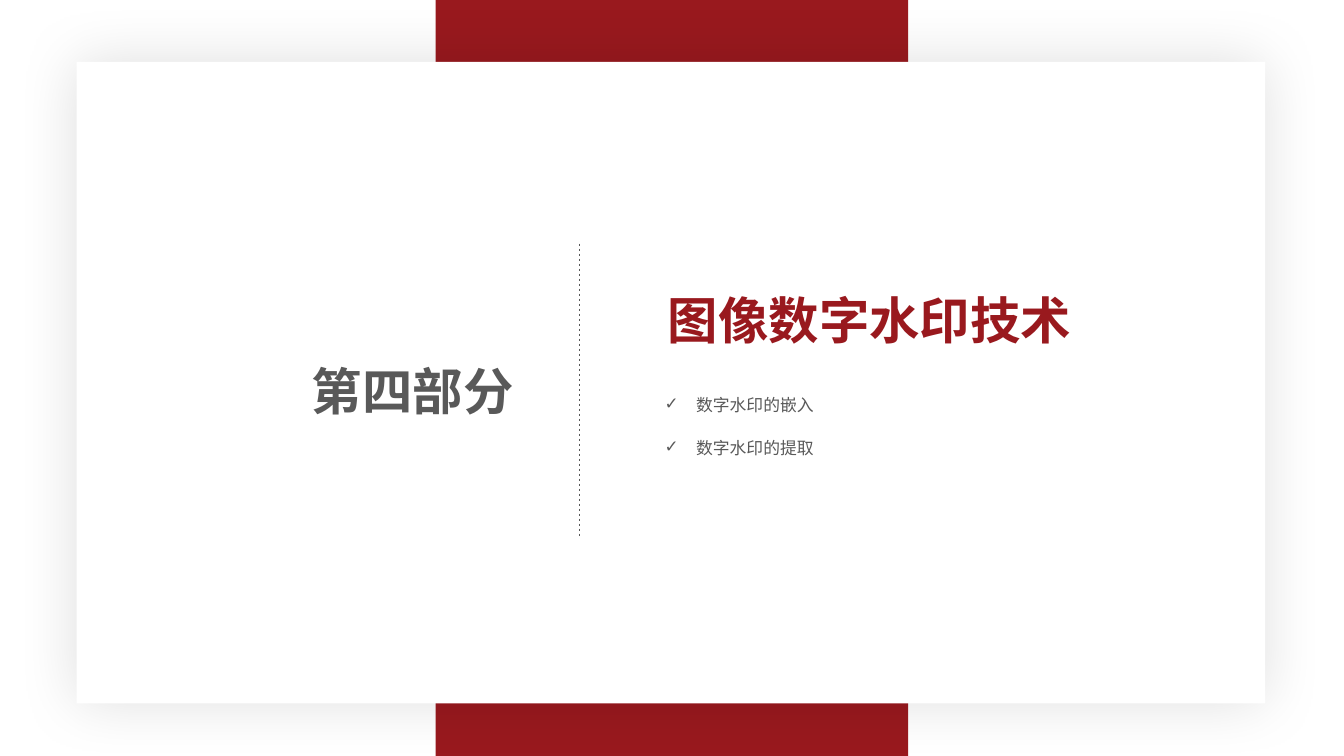
from lxml.etree import SubElement
from pptx import Presentation
from pptx.dml.color import RGBColor
from pptx.enum.dml import MSO_LINE
from pptx.enum.shapes import MSO_CONNECTOR, MSO_SHAPE
from pptx.enum.text import MSO_ANCHOR, MSO_AUTO_SIZE, PP_ALIGN
from pptx.oxml.ns import qn
from pptx.util import Pt

PX = 9525
RED = RGBColor(0x99, 0x19, 0x1E)
GRAY = RGBColor(0x59, 0x59, 0x59)
WHITE = RGBColor(0xFF, 0xFF, 0xFF)
FONT = "Arial Narrow"
TOPICS = ["数字水印的嵌入", "数字水印的提取"]


def px(*lengths):
    return [length * PX for length in lengths]


def add_panel(slide, box, color):
    panel = slide.shapes.add_shape(MSO_SHAPE.RECTANGLE, *px(*box))
    panel.shadow.inherit = False
    panel.fill.solid()
    panel.fill.fore_color.rgb = color
    panel.line.fill.background()
    return panel


def add_glow(panel, blur, opacity):
    effects = panel.element.spPr.find(qn("a:effectLst"))
    shadow = SubElement(effects, qn("a:outerShdw"), blurRad=str(Pt(blur)),
                        dist="0", dir="0", algn="ctr", rotWithShape="0")
    black = SubElement(shadow, qn("a:srgbClr"), val="000000")
    SubElement(black, qn("a:alpha"), val=str(opacity * 1000))


def place(holder, box, wrap, margins=(10, 5)):
    holder.left, holder.top, holder.width, holder.height = px(*box)
    frame = holder.text_frame
    frame.word_wrap = wrap
    frame.auto_size = MSO_AUTO_SIZE.SHAPE_TO_FIT_TEXT
    frame.vertical_anchor = MSO_ANCHOR.TOP
    side, edge = px(*margins)
    frame.margin_left = frame.margin_right = side
    frame.margin_top = frame.margin_bottom = edge
    return frame


def write(paragraph, text, size, color, bold=False, align=PP_ALIGN.LEFT):
    paragraph.alignment = align
    run = paragraph.add_run()
    run.text = text
    run.font.name = FONT
    run.font.size = Pt(size)
    run.font.bold = bold
    run.font.color.rgb = color


def add_check(paragraph, indent):
    properties = paragraph._p.get_or_add_pPr()
    properties.set("marL", str(indent * PX))
    properties.set("indent", str(-indent * PX))
    SubElement(properties, qn("a:buFont"), typeface=FONT)
    SubElement(properties, qn("a:buChar"), char="✓")


def add_backdrop(slide, width, height):
    add_panel(slide, (415, 0, 450, height), RED)
    card = add_panel(slide, (73, 59, width - 148, height - 109), WHITE)
    add_glow(card, 44, 12)


def add_part_label(slide, left, top):
    label = slide.shapes.add_textbox(*px(left, top, 484, 68))
    frame = place(label, (left, top, 484, 68), True)
    write(frame.paragraphs[0], "第四部分", 36, GRAY, True, PP_ALIGN.CENTER)


def add_divider(slide, left, top, height):
    divider = slide.shapes.add_connector(
        MSO_CONNECTOR.STRAIGHT, *px(left, top, left, top + height))
    divider.line.color.rgb = GRAY
    divider.line.width = Pt(0.5)
    divider.line.dash_style = MSO_LINE.DASH
    SubElement(divider.element.spPr, qn("a:effectLst"))


def add_contents(slide, left, top):
    heading, topics = slide.shapes.title, slide.placeholders[1]
    for holder in (heading, topics):
        holder.element.getparent().append(holder.element)
    frame = place(heading, (left, top, 407, 68), False)
    write(frame.paragraphs[0], "图像数字水印技术", 36, RED, True)
    frame = place(topics, (left, top + 102, 158, 68), False, (7, 4))
    for index, topic in enumerate(TOPICS):
        paragraph = frame.add_paragraph() if index else frame.paragraphs[0]
        paragraph.space_before = Pt(16.5 if index else 0)
        write(paragraph, topic, 12, GRAY)
        add_check(paragraph, 30)


def build_section_slide(deck, width, height):
    slide = deck.slides.add_slide(deck.slide_layouts[1])
    add_backdrop(slide, width, height)
    add_part_label(slide, 151, 338)
    add_contents(slide, 626, 270)
    add_divider(slide, 552, 232, 280)


def main():
    deck = Presentation()
    width, height = 1280, 720
    deck.slide_width, deck.slide_height = px(width, height)
    build_section_slide(deck, width, height)
    deck.save("out.pptx")


if __name__ == "__main__":
    main()
